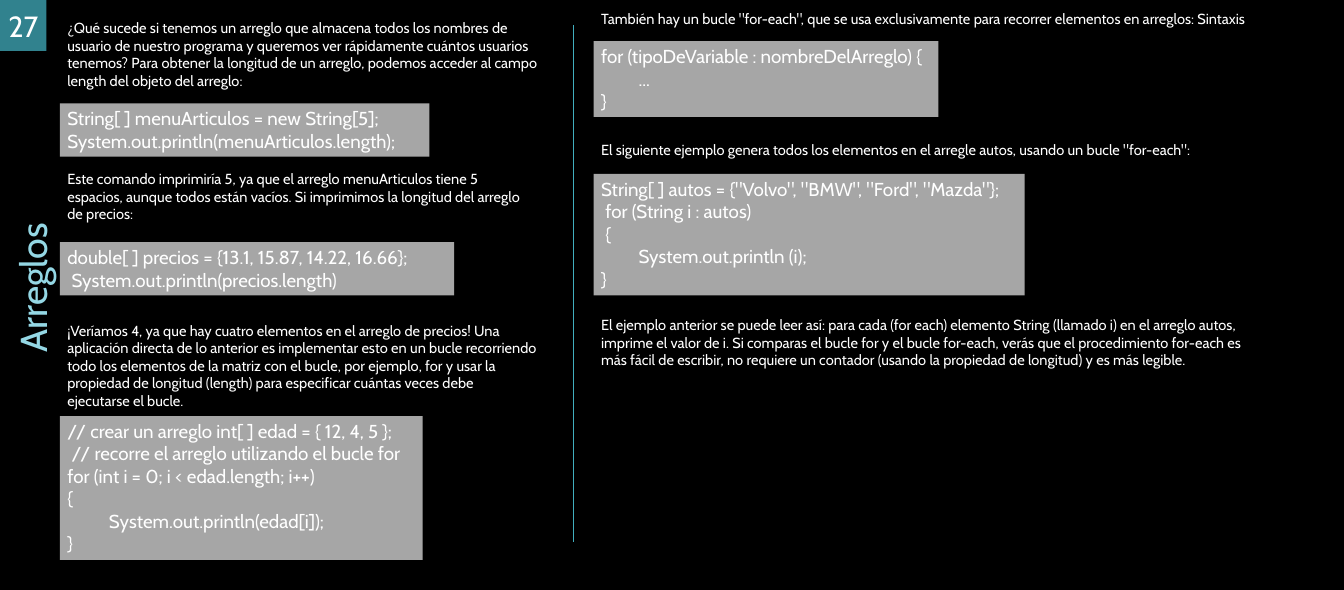
import pptx
import pptx.util
import pptx.dml.color
import pptx.enum.shapes
import pptx.enum.text
import pptx.oxml
from lxml import etree

Inches, Pt = pptx.util.Inches, pptx.util.Pt
RGB = pptx.dml.color.RGBColor.from_string
SHAPE = pptx.enum.shapes.MSO_SHAPE
ALIGN = pptx.enum.text.PP_ALIGN
ANCHOR = pptx.enum.text.MSO_ANCHOR
FIT = pptx.enum.text.MSO_AUTO_SIZE

THEME = {
    "font": "Cabin", "background": "000000", "badge": "31828E",
    "code_fill": "A6A6A6", "divider": "41AEBD",
    "styles": {
        "badge": {"size": 28, "color": "FFFFFF"},
        "title": {"size": 36, "color": "94D7E4"},
        "body": {"size": 14, "color": "FFFFFF"},
        "code": {"size": 18, "color": "FFFFFF"},
    },
}
LEFT, RIGHT = 0.8, 7.92

# kind, left, top, width, height, lines
BLOCKS = [
    ("body", LEFT, 0.21, 6.68, 1.04, [
        "¿Qué sucede si tenemos un arreglo que almacena todos los nombres de usuario de nuestro "
        "programa y queremos ver rápidamente cuántos usuarios tenemos? Para obtener la longitud "
        "de un arreglo, podemos acceder al campo length del objeto del arreglo:"]),
    ("code", LEFT, 1.38, 4.93, 0.71, [
        "String[ ] menuArticulos = new String[5];",
        "System.out.println(menuArticulos.length);"]),
    ("body", LEFT, 2.22, 6.26, 0.81, [
        "Este comando imprimiría 5, ya que el arreglo menuArticulos tiene 5 espacios, aunque "
        "todos están vacíos. Si imprimimos la longitud del arreglo de precios:"]),
    ("code", LEFT, 3.23, 5.26, 0.71, [
        "double[ ] precios = {13.1, 15.87, 14.22, 16.66};",
        " System.out.println(precios.length)"]),
    ("body", LEFT, 4.24, 6.49, 1.28, [
        "¡Veríamos 4, ya que hay cuatro elementos en el arreglo de precios! Una aplicación "
        "directa de lo anterior es implementar esto en un bucle recorriendo todo los elementos "
        "de la matriz con el bucle, por ejemplo, for y usar la propiedad de longitud (length) "
        "para especificar cuántas veces debe ejecutarse el bucle."]),
    ("code", LEFT, 5.55, 4.84, 1.92, [
        "// crear un arreglo int[ ] edad = { 12, 4, 5 };",
        " // recorre el arreglo utilizando el bucle for",
        "for (int i = 0; i < edad.length; i++)",
        "{",
        "\t System.out.println(edad[i]);",
        "}"]),
    ("body", RIGHT, 0.09, 8.98, 0.34, [
        'También hay un bucle "for-each", que se usa exclusivamente para recorrer elementos en '
        'arreglos: Sintaxis']),
    ("code", RIGHT, 0.55, 4.6, 1.01, [
        "for (tipoDeVariable : nombreDelArreglo) {",
        "\t...",
        "}"]),
    ("body", RIGHT, 1.83, 8.98, 0.34, [
        'El siguiente ejemplo genera todos los elementos en el arregle autos, usando un bucle '
        '"for-each":']),
    ("code", RIGHT, 2.32, 5.75, 1.62, [
        'String[ ] autos = {"Volvo", "BMW", "Ford", "Mazda"};',
        " for (String i : autos)",
        " {",
        "\tSystem.out.println (i);",
        "}"]),
    ("body", RIGHT, 4.17, 8.98, 0.81, [
        "El ejemplo anterior se puede leer así: para cada (for each) elemento String (llamado i) "
        "en el arreglo autos, imprime el valor de i. Si comparas el bucle for y el bucle "
        "for-each, verás que el procedimiento for-each es más fácil de escribir, no requiere un "
        "contador (usando la propiedad de longitud) y es más legible."]),
]


def write(sp, lines, style, align=ALIGN.LEFT, anchor=ANCHOR.TOP, fit=FIT.NONE):
    """Fill a shape's text frame, one paragraph per line, in a theme style."""
    tf = sp.text_frame
    frame = {"word_wrap": True, "auto_size": fit, "vertical_anchor": anchor}
    for name, value in frame.items():
        setattr(tf, name, value)
    fmt = THEME["styles"][style]
    for i, line in enumerate(lines):
        p = tf.paragraphs[0] if i == 0 else tf.add_paragraph()
        p.alignment = align
        if "\t" in line:
            tabs = etree.SubElement(p._p.get_or_add_pPr(), pptx.oxml.ns.qn("a:tabLst"))
            etree.SubElement(tabs, pptx.oxml.ns.qn("a:tab"), pos=str(Inches(0.5)), algn="l")
        r = p.add_run()
        r.text = line
        for name, value in {"name": THEME["font"], "size": Pt(fmt["size"])}.items():
            setattr(r.font, name, value)
        r.font.color.rgb = RGB(fmt["color"])


def add_panel(left, top, width, height, color):
    """Add a plain filled rectangle without outline or shadow."""
    sp = s.shapes.add_shape(SHAPE.RECTANGLE, Inches(left), Inches(top),
                            Inches(width), Inches(height))
    sp.shadow.inherit = False
    sp.fill.solid()
    sp.fill.fore_color.rgb = RGB(color)
    sp.line.fill.background()
    return sp


prs = pptx.Presentation()
prs.slide_width, prs.slide_height = Inches(17.93), Inches(7.87)
s = prs.slides.add_slide(prs.slide_layouts[5])
s.background.fill.solid()
s.background.fill.fore_color.rgb = RGB(THEME["background"])

title = s.shapes.title
place = {"left": Inches(-2.99), "top": Inches(3.41), "width": Inches(7),
         "height": Inches(0.86), "rotation": 270}
for name, value in place.items():
    setattr(title, name, value)
write(title, ["Arreglos"], "title", ALIGN.CENTER)

badge = add_panel(0, 0, 0.62, 0.68, THEME["badge"])
write(badge, ["27"], "badge", ALIGN.CENTER, ANCHOR.MIDDLE)

divider = s.shapes.add_connector(pptx.enum.shapes.MSO_CONNECTOR.STRAIGHT,
                                 Inches(7.65), Inches(0.34), Inches(7.65), Inches(7.23))
divider.line.color.rgb = RGB(THEME["divider"])
divider.line.width = Pt(0.5)
etree.SubElement(divider._element.spPr, pptx.oxml.ns.qn("a:effectLst"))

for kind, left, top, width, height, lines in BLOCKS:
    if kind == "code":
        sp = add_panel(left, top, width, height, THEME["code_fill"])
    else:
        sp = s.shapes.add_textbox(Inches(left), Inches(top), Inches(width), Inches(height))
    write(sp, lines, kind, fit=FIT.SHAPE_TO_FIT_TEXT)

prs.save("out.pptx")
